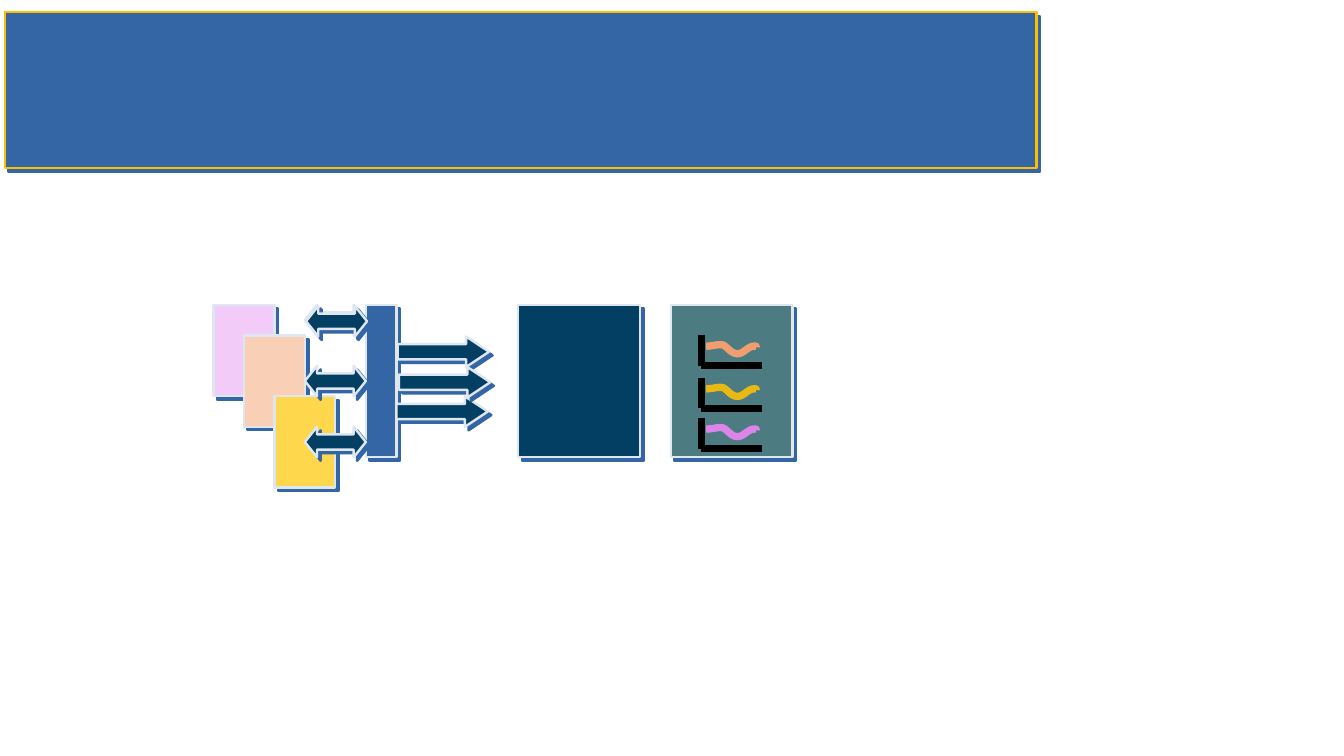
from dataclasses import dataclass

from lxml import etree
from pptx import Presentation
from pptx import util as u
from pptx.dml.color import RGBColor
from pptx.enum import shapes
from pptx.oxml import ns


@dataclass(frozen=True)
class Theme:
    blue: str = "3465A4"
    gold: str = "FFBF00"
    navy: str = "023F62"
    teal: str = "4C7B81"
    edge: str = "DEE6EF"
    lilac: str = "F2CBF8"
    peach: str = "F9CFB5"
    yellow: str = "FFD74C"
    axis: str = "000000"
    waves: tuple = ("F09E6F", "E9B913", "DC85E9")
    outline: float = 1.42
    stroke: float = 4.31
    shadow_distance: float = 3
    shadow_angle: int = 45


WAVE_START = (0.04, 0.09)
WAVE_CURVES = (
    ((0.09, 0.09), (0.14, 0.07), (0.18, 0.08)),
    ((0.22, 0.1), (0.25, 0.16), (0.31, 0.15)),
    ((0.36, 0.14), (0.39, 0.08), (0.45, 0.09)),
)
WAVE_END = (0.45, 0.1)


def wave_points(steps=12):
    start = WAVE_START
    yield start
    for curve in WAVE_CURVES:
        corners = (start, *curve)
        for step in range(1, steps + 1):
            t = step / steps
            weights = ((1 - t) ** 3, 3 * t * (1 - t) ** 2, 3 * t * t * (1 - t), t ** 3)
            yield tuple(sum(w * corner[side] for w, corner in zip(weights, corners)) for side in (0, 1))
        start = curve[-1]
    yield WAVE_END


class Painter:
    def __init__(self, page, theme):
        self.theme = theme
        self.canvas = page.shapes

    def style_line(self, line, color, width):
        line.color.rgb = RGBColor.from_string(color)
        line.width = u.Pt(width)

    def cast_shadow(self, shape):
        shape.shadow.inherit = False
        effects = shape._element.spPr.find(ns.qn("a:effectLst"))
        format_values = {
            "blurRad": 0,
            "dist": u.Pt(self.theme.shadow_distance),
            "dir": self.theme.shadow_angle * 60000,
            "algn": "tl",
            "rotWithShape": 0,
        }
        shadow = etree.SubElement(effects, ns.qn("a:outerShdw"))
        for name, value in format_values.items():
            shadow.set(name, str(value))
        etree.SubElement(shadow, ns.qn("a:srgbClr")).set("val", self.theme.blue)

    def block(self, kind, left, top, width, height, fill, edge=None, adjustments=()):
        shape = self.canvas.add_shape(kind, *map(u.Inches, (left, top, width, height)))
        for index, value in enumerate(adjustments):
            shape.adjustments[index] = value
        shape.fill.solid()
        shape.fill.fore_color.rgb = RGBColor.from_string(fill)
        self.style_line(shape.line, edge or self.theme.edge, self.theme.outline)
        self.cast_shadow(shape)

    def segment(self, start, end, color):
        connector = self.canvas.add_connector(
            shapes.MSO_CONNECTOR.STRAIGHT, *map(u.Inches, (*start, *end)))
        self.style_line(connector.line, color, self.theme.stroke)
        etree.SubElement(connector._element.spPr, ns.qn("a:effectLst"))

    def wave(self, left, top, color):
        points = [(u.Inches(left + x), u.Inches(top + y)) for x, y in wave_points()]
        builder = self.canvas.build_freeform(*points[0])
        builder.add_line_segments(points[1:], close=False)
        curve = builder.convert_to_shape()
        curve.fill.background()
        curve.shadow.inherit = False
        self.style_line(curve.line, color, self.theme.stroke)

    def plot(self, left, top, color):
        corner = (left, top + 0.25)
        self.segment((left, top), corner, self.theme.axis)
        self.segment(corner, (left + 0.5, top + 0.25), self.theme.axis)
        self.wave(left, top, color)

    def open_group(self):
        self.canvas = self.canvas.add_group_shape().shapes


def main():
    theme = Theme()
    kinds = shapes.MSO_SHAPE
    deck = Presentation()
    deck.slide_width, deck.slide_height = u.Inches(11.02), u.Inches(6.2)
    page = deck.slides.add_slide(deck.slide_layouts[6])
    painter = Painter(page, theme)

    painter.block(kinds.RECTANGLE, 0.04, 0.1, 8.46, 1.28, theme.blue, theme.gold)
    painter.block(kinds.FLOWCHART_PROCESS, 4.25, 2.5, 1, 1.25, theme.navy)
    sheets = ((1.75, 2.5, theme.lilac), (2, 2.75, theme.peach), (2.25, 3.25, theme.yellow))
    for left, top, fill in sheets:
        painter.block(kinds.RECTANGLE, left, top, 0.5, 0.75, fill)
    painter.block(kinds.FLOWCHART_PROCESS, 3, 2.5, 0.25, 1.25, theme.blue)

    for left, top in ((2.5, 2.5), (2.5, 3.5), (2.5, 3), (2.51, 2.51)):
        painter.block(kinds.LEFT_RIGHT_ARROW, left, top, 0.5, 0.25, theme.navy,
                      adjustments=(0.5, 0.4))
    for left, top in ((3.25, 3.25), (3.26, 2.76), (3.27, 3.01)):
        painter.block(kinds.RIGHT_ARROW, left, top, 0.75, 0.25, theme.navy,
                      adjustments=(0.5, 0.75))

    painter.open_group()
    painter.block(kinds.FLOWCHART_PROCESS, 5.5, 2.5, 1, 1.25, theme.teal)
    for top, color in zip((2.75, 3.1, 3.43), theme.waves):
        painter.plot(5.75, top, color)

    deck.save("out.pptx")


if __name__ == "__main__":
    main()
